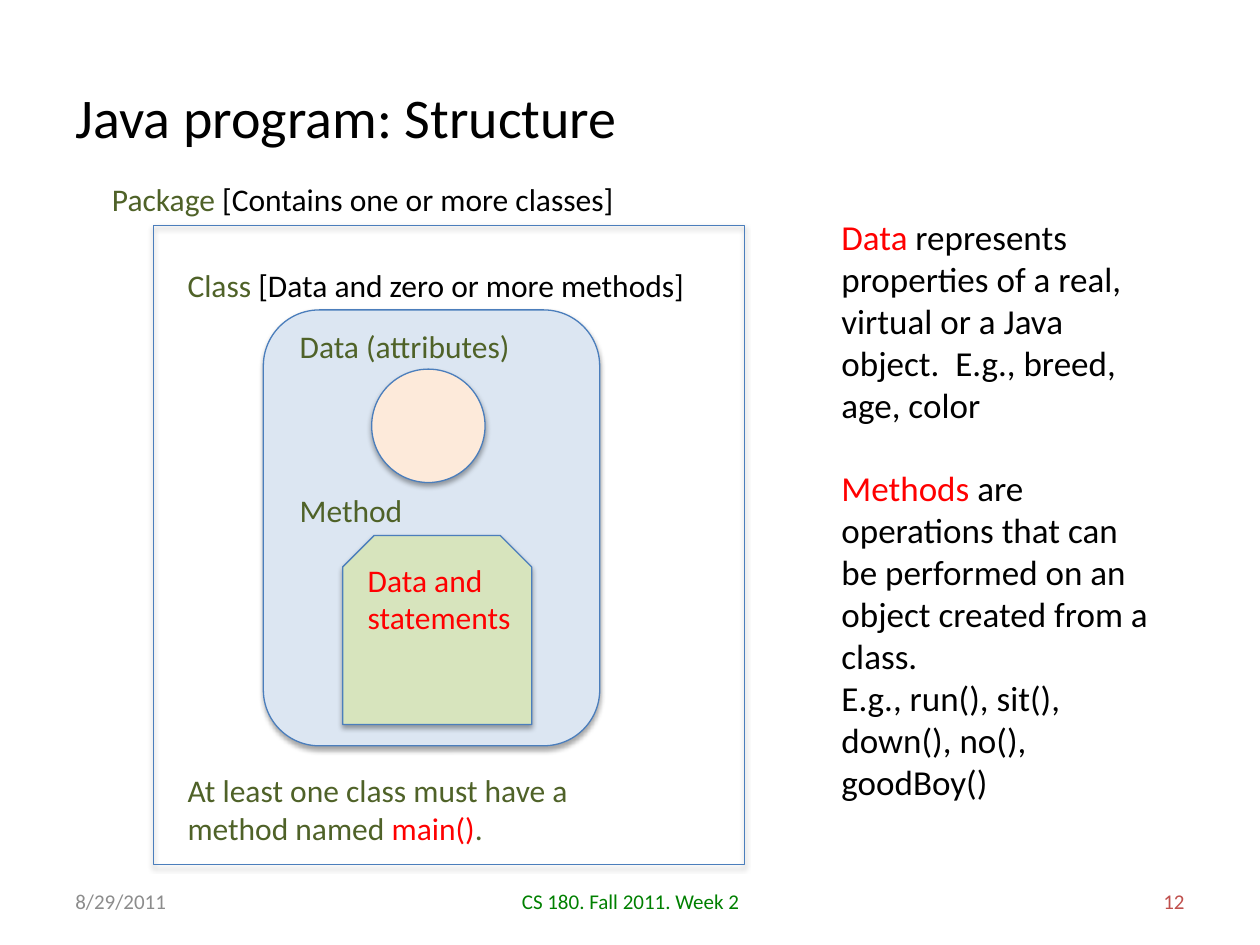
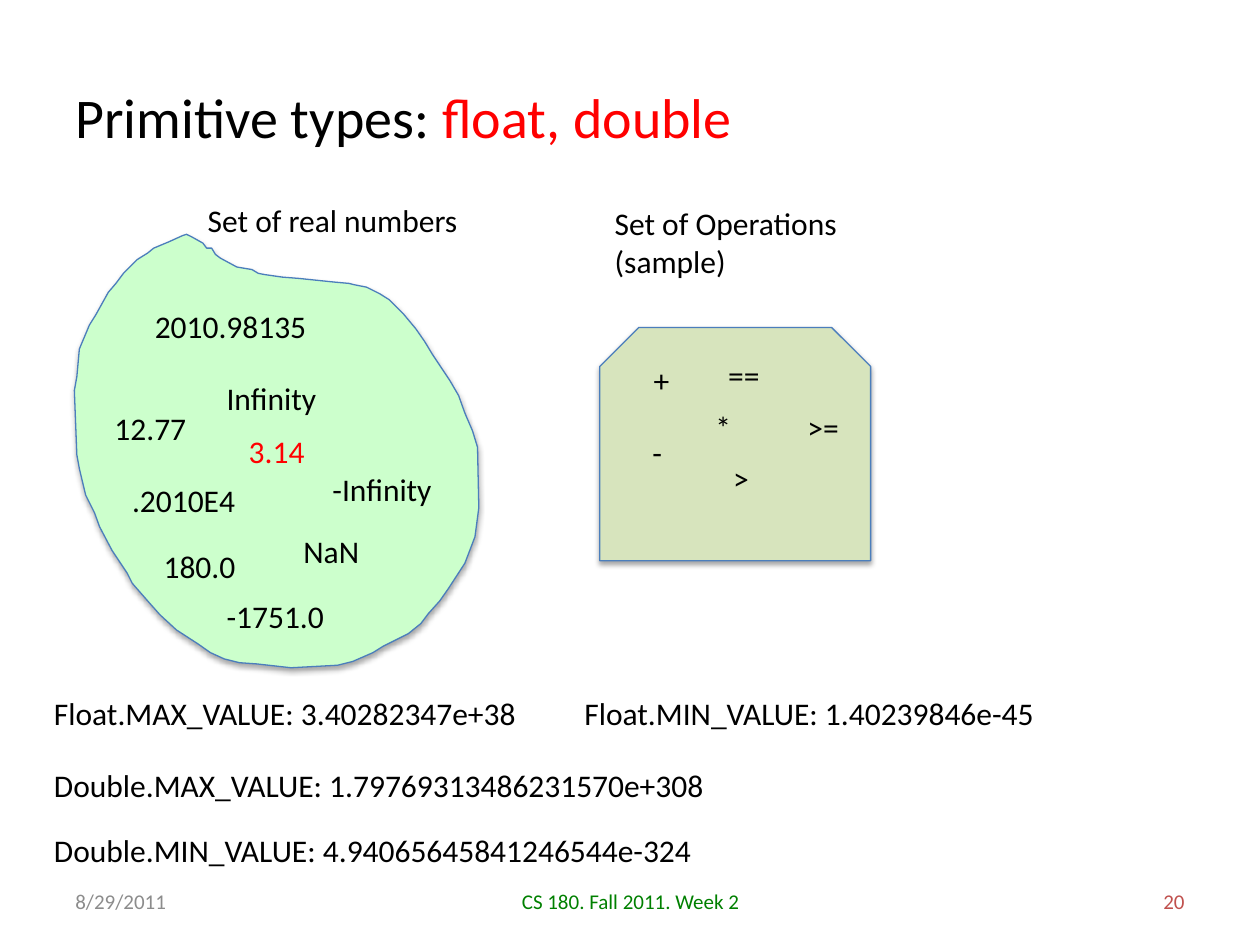
from dataclasses import dataclass
from typing import Optional

import lxml.etree
import pptx
import pptx.dml.color
import pptx.enum.shapes
import pptx.enum.text
import pptx.oxml.ns
import pptx.util

Inches = pptx.util.Inches
Pt = pptx.util.Pt
SHAPE = pptx.enum.shapes.MSO_SHAPE
ALIGN = pptx.enum.text.PP_ALIGN
ANCHOR = pptx.enum.text.MSO_ANCHOR
AUTO_SIZE = pptx.enum.text.MSO_AUTO_SIZE

FONT = "Calibri"
COLORS = {
    "text": "000000",
    "accent": "FF0000",
    "term": "4F6228",
    "date": "8C8C8C",
    "course": "008000",
    "number": "C0504D",
    "outline": "4B7EBC",
    "class": "DCE6F2",
    "data": "FDEADA",
    "method": "D7E4BD",
    "numbers": "CCFFCC",
}

# A paragraph is a tuple of (text, colour name) runs
Paragraph = tuple[tuple[str, str], ...]


@dataclass
class Label:
    left: float
    top: float
    width: float
    paragraphs: tuple[Paragraph, ...]
    size: int = 18
    height: Optional[float] = None  # None: as tall as its unwrapped lines
    align: ALIGN = ALIGN.LEFT
    anchor: ANCHOR = ANCHOR.TOP


@dataclass
class Figure:
    kind: SHAPE
    left: float
    top: float
    width: float
    height: float
    fill: Optional[str] = None


def plain(left: float, top: float, width: float, *lines: str, color: str = "text") -> Label:
    """A label in one colour, one paragraph a line."""
    return Label(left, top, width, tuple(((line, color),) for line in lines))


def rgb(name: str) -> pptx.dml.color.RGBColor:
    return pptx.dml.color.RGBColor.from_string(COLORS[name])


def write(text_frame, paragraphs: tuple[Paragraph, ...], size: int, align: ALIGN) -> None:
    for index, runs in enumerate(paragraphs):
        paragraph = text_frame.paragraphs[0] if index == 0 else text_frame.add_paragraph()
        paragraph.alignment = align
        for text, color in runs:
            run = paragraph.add_run()
            run.text = text
            run.font.name = FONT
            run.font.size = Pt(size)
            run.font.color.rgb = rgb(color)


def add_label(shapes, label: Label) -> None:
    height = label.height or 0.09 + 0.31 * len(label.paragraphs)
    box = shapes.add_textbox(
        Inches(label.left), Inches(label.top), Inches(label.width), Inches(height))
    frame = box.text_frame
    frame.word_wrap = label.height is not None
    frame.auto_size = AUTO_SIZE.NONE if frame.word_wrap else AUTO_SIZE.SHAPE_TO_FIT_TEXT
    frame.vertical_anchor = label.anchor
    write(frame, label.paragraphs, label.size, label.align)


def style_shape(shape, fill: Optional[str]) -> None:
    """Give a shape its fill, thin outline and soft shadow below."""
    if fill:
        shape.fill.solid()
        shape.fill.fore_color.rgb = rgb(fill)
    else:
        shape.fill.background()
    shape.line.color.rgb = rgb("outline")
    shape.line.width = Pt(0.75)
    shape.shadow.inherit = False
    qn = pptx.oxml.ns.qn
    effects = shape._element.spPr.find(qn("a:effectLst"))
    shadow = lxml.etree.SubElement(
        effects, qn("a:outerShdw"), blurRad=str(Pt(3.1)), dist=str(Pt(1.8)),
        dir="5400000", rotWithShape="0")
    color = lxml.etree.SubElement(shadow, qn("a:srgbClr"), val=COLORS["text"])
    lxml.etree.SubElement(color, qn("a:alpha"), val="35000")


def add_figure(shapes, figure: Figure) -> None:
    shape = shapes.add_shape(
        figure.kind, Inches(figure.left), Inches(figure.top),
        Inches(figure.width), Inches(figure.height))
    style_shape(shape, figure.fill)


def add_slide(presentation, title_runs: Paragraph, number: int):
    """Start a slide with its title, date, course and number."""
    slide = presentation.slides.add_slide(presentation.slide_layouts[5])
    title = slide.shapes.title
    title.left, title.top = Inches(0.5), Inches(0.3)
    title.width, title.height = Inches(9), Inches(1.25)
    title.text_frame.vertical_anchor = ANCHOR.MIDDLE
    write(title.text_frame, (title_runs,), 32, ALIGN.LEFT)

    footers = (
        (0.5, 2.33, "8/29/2011", "date", ALIGN.LEFT),
        (3.42, 3.17, "CS 180. Fall 2011. Week 2", "course", ALIGN.CENTER),
        (7.17, 2.33, str(number), "number", ALIGN.RIGHT),
    )
    for left, width, text, color, align in footers:
        add_label(slide.shapes, Label(
            left, 6.95, width, (((text, color),),), 12, 0.4, align, ANCHOR.MIDDLE))
    return slide


# Slide 1: nested package, class, data and method
STRUCTURE_FIGURES = (
    Figure(SHAPE.RECTANGLE, 1.22, 1.79, 4.69, 5.07),
    Figure(SHAPE.ROUNDED_RECTANGLE, 2.09, 2.46, 2.67, 3.46, "class"),
    Figure(SHAPE.OVAL, 2.95, 2.93, 0.9, 0.9, "data"),
    Figure(SHAPE.SNIP_2_SAME_RECTANGLE, 2.72, 4.25, 1.5, 1.5, "method"),
)
STRUCTURE_LABELS = (
    Label(0.79, 1.38, 4.22, (
        (("Package", "term"), (" [Contains one or more classes]", "text")),)),
    Label(1.39, 2.06, 4.16, (
        (("Class", "term"), (" [Data and zero or more methods]", "text")),)),
    plain(2.28, 2.55, 1.89, "Data (attributes)", color="term"),
    plain(2.28, 3.85, 1.02, "Method", color="term"),
    plain(2.82, 4.4, 1.35, "Data and", "statements", color="accent"),
    Label(1.39, 6.07, 3.25, (
        (("At least one class must have a", "term"),),
        (("method named ", "term"), ("main()", "accent"), (".", "term")))),
    Label(6.58, 1.66, 2.67, (
        (("Data", "accent"),
         (" represents properties of a real, virtual or a Java object.  "
          "E.g., breed, age, color", "text")),), 20, 1.78),
    Label(6.58, 3.65, 2.67, (
        (("Methods", "accent"),
         (" are operations that can be performed on an object created from a class.",
          "text")),
        (("E.g., run(), sit(), down(), no(), goodBoy()", "text"),)), 20, 2.79),
)

# Slide 2: sets of numbers and operations
NUMBER_SET_OUTLINE = (
    (1.45, 1.87), (1.34, 1.92), (1.22, 1.97), (1.17, 2.01), (1.09, 2.06), (0.98, 2.17),
    (0.92, 2.25), (0.86, 2.32), (0.76, 2.5), (0.71, 2.58), (0.63, 2.77), (0.61, 2.99),
    (0.59, 3.1), (0.61, 3.61), (0.63, 3.72), (0.68, 3.93), (0.75, 4.07), (0.79, 4.18),
    (0.89, 4.37), (1.01, 4.55), (1.05, 4.63), (1.19, 4.79), (1.27, 4.88), (1.4, 5),
    (1.57, 5.11), (1.67, 5.18), (1.78, 5.23), (1.9, 5.26), (2.04, 5.27), (2.31, 5.3),
    (2.68, 5.28), (2.8, 5.25), (2.96, 5.18), (3.04, 5.13), (3.24, 5.03), (3.34, 4.95),
    (3.4, 4.87), (3.49, 4.77), (3.56, 4.67), (3.69, 4.47), (3.77, 4.26), (3.8, 4.03),
    (3.79, 3.55), (3.75, 3.42), (3.69, 3.28), (3.64, 3.14), (3.57, 3.02), (3.43, 2.81),
    (3.37, 2.71), (3.3, 2.61), (3.2, 2.49), (3.09, 2.38), (3.01, 2.33), (2.91, 2.28),
    (2.81, 2.26), (2.77, 2.25), (2.66, 2.24), (2.37, 2.21), (2.24, 2.2), (2.1, 2.18),
    (2.05, 2.17), (2, 2.14), (1.88, 2.12), (1.75, 2.05), (1.71, 2.02), (1.68, 1.97),
    (1.64, 1.97), (1.61, 1.93), (1.52, 1.88), (1.48, 1.86),
)
NUMBER_LABELS = (
    plain(1.55, 1.55, 2.21, "Set of real numbers"),
    plain(0.81, 3.2, 0.78, "12.77"),
    plain(1.2, 4.29, 0.78, "180.0"),
    plain(1.13, 2.39, 1.42, "2010.98135"),
    plain(1.7, 4.69, 0.98, "-1751.0"),
    plain(0.95, 3.77, 1.03, ".2010E4"),
    plain(1.7, 2.96, 0.92, "Infinity"),
    plain(2.54, 3.68, 1, "-Infinity"),
    plain(2.31, 4.17, 0.65, "NaN"),
)
OPERATION_LABELS = (
    plain(4.78, 1.57, 1.99, "Set of Operations", "(sample)"),
    plain(5.09, 2.82, 0.33, "+"),
    plain(5.08, 3.39, 0.28, "-"),
    plain(5.58, 3.19, 0.33, "*"),
    plain(5.72, 3.59, 0.33, ">"),
    plain(5.68, 2.78, 0.45, "=="),
    plain(6.31, 3.19, 0.45, ">="),
)
LIMIT_LABELS = (
    plain(0.33, 5.46, 3.99, "Float.MAX_VALUE: 3.40282347e+38"),
    plain(4.54, 5.46, 3.89, "Float.MIN_VALUE: 1.40239846e-45"),
    plain(0.33, 6.03, 5.41, "Double.MAX_VALUE: 1.79769313486231570e+308"),
    plain(0.33, 6.55, 5.31, "Double.MIN_VALUE: 4.94065645841246544e-324"),
)


def add_number_set(shapes) -> None:
    """The irregular outline around the real numbers."""
    points = [(Inches(x), Inches(y)) for x, y in NUMBER_SET_OUTLINE]
    builder = shapes.build_freeform(*points[0])
    builder.add_line_segments(points[1:], close=True)
    shape = builder.convert_to_shape()
    style_shape(shape, "numbers")
    shape.text_frame.vertical_anchor = ANCHOR.MIDDLE
    write(shape.text_frame, ((("3.14", "accent"),),), 18, ALIGN.CENTER)


def build_structure_slide(presentation) -> None:
    slide = add_slide(presentation, (("Java program: Structure", "text"),), 12)
    for figure in STRUCTURE_FIGURES:
        add_figure(slide.shapes, figure)
    for label in STRUCTURE_LABELS:
        add_label(slide.shapes, label)


def build_primitive_types_slide(presentation) -> None:
    title_runs = (("Primitive types: ", "text"), ("float, double", "accent"))
    slide = add_slide(presentation, title_runs, 20)
    for label in LIMIT_LABELS:
        add_label(slide.shapes, label)

    numbers = slide.shapes.add_group_shape().shapes
    add_number_set(numbers)
    for label in NUMBER_LABELS:
        add_label(numbers, label)

    operations = slide.shapes.add_group_shape().shapes
    add_figure(operations, Figure(
        SHAPE.SNIP_2_SAME_RECTANGLE, 4.76, 2.6, 2.15, 1.85, "method"))
    for label in OPERATION_LABELS:
        add_label(operations, label)


def main() -> None:
    presentation = pptx.Presentation()
    presentation.slide_width = Inches(10)
    presentation.slide_height = Inches(7.5)
    build_structure_slide(presentation)
    build_primitive_types_slide(presentation)
    presentation.save("out.pptx")


if __name__ == "__main__":
    main()
